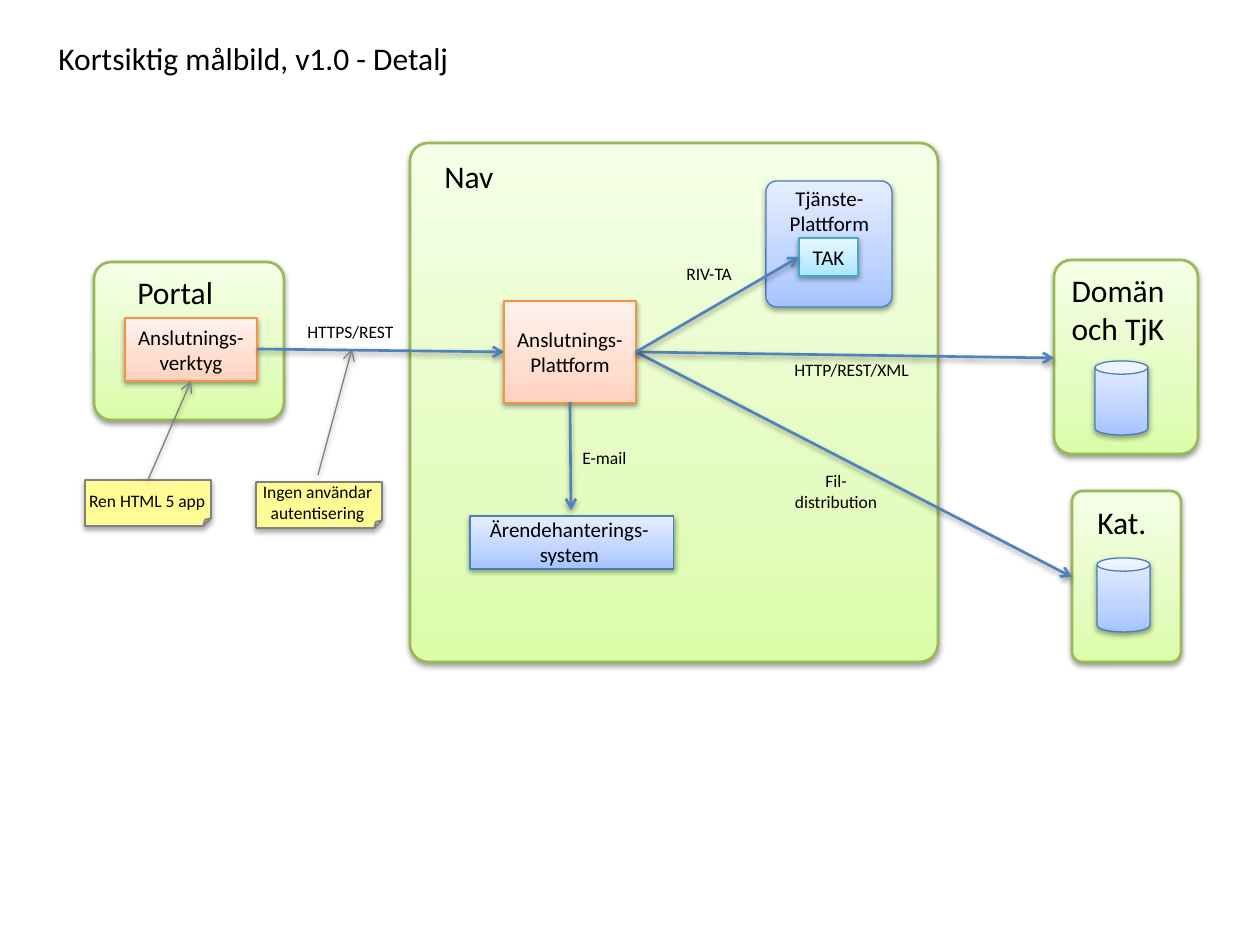
from copy import deepcopy

from pptx import Presentation
from pptx.dml.color import RGBColor
from pptx.enum.shapes import MSO_CONNECTOR, MSO_SHAPE
from pptx.enum.text import MSO_ANCHOR, PP_ALIGN
from pptx.oxml import parse_xml
from pptx.oxml.ns import nsdecls, qn
from pptx.util import Emu, Pt

PIXEL = 914400 // 126
FONT = "Calibri"
BLACK = RGBColor(0x00, 0x00, 0x00)
GREY = RGBColor(0x80, 0x80, 0x80)
ARROW_BLUE = RGBColor(0x4F, 0x81, 0xBD)
NOTE_YELLOW = RGBColor(0xFF, 0xFC, 0x96)

# Each theme: bottom, middle and top gradient colours, then the outline.
GREEN = [RGBColor.from_string(c) for c in ("DAFDA7", "E4FCC2", "F5FFE7", "98B955")]
ORANGE = [RGBColor.from_string(c) for c in ("FFD2BD", "FFDED0", "FFF2ED", "F69240")]
BLUE = [RGBColor.from_string(c) for c in ("A4C4FF", "BFD4FF", "E6EEFF", "4B7EBC")]
CYAN = [RGBColor.from_string(c) for c in ("A7E6FF", "C1EDFF", "E7F8FF", "46AAC5")]


def px(*lengths):
    """Turn whole pixels into EMU."""
    return [Emu(length * PIXEL) for length in lengths]


def add_shadow(element, opacity=38):
    """Give a shape or connector a soft shadow straight below it."""
    element.spPr.append(parse_xml(
        f'<a:effectLst {nsdecls("a")}>'
        '<a:outerShdw blurRad="40000" dist="20000" dir="5400000" rotWithShape="0">'
        f'<a:srgbClr val="000000"><a:alpha val="{opacity * 1000}"/></a:srgbClr>'
        '</a:outerShdw></a:effectLst>'))


def write(frame, text, size, align=PP_ALIGN.CENTER):
    """Set black text, one paragraph for each line."""
    frame.text = text
    for paragraph in frame.paragraphs:
        paragraph.alignment = align
        for run in paragraph.runs:
            run.font.name = FONT
            run.font.size = Pt(size)
            run.font.color.rgb = BLACK


def add_label(slide, box, text, size, align=PP_ALIGN.LEFT):
    """Add free-standing text that keeps its own line breaks."""
    frame = slide.shapes.add_textbox(*px(*box)).text_frame
    frame.word_wrap = False
    write(frame, text, size, align)


def add_block(slide, kind, box, theme, text="", corner=None, width=0.75):
    """Add a shape with a vertical gradient and optional centred text."""
    block = slide.shapes.add_shape(kind, *px(*box))
    if corner is not None:
        block.adjustments[0] = corner
    block.fill.gradient()
    block.fill.gradient_angle = 90
    first = block._element.spPr.find(".//" + qn("a:gs"))
    first.addnext(deepcopy(first))
    for stop, position, color in zip(block.fill.gradient_stops, (0, 0.35, 1), theme):
        stop.position = position
        stop.color.rgb = color
    block.line.color.rgb = theme[-1]
    block.line.width = Pt(width)
    add_shadow(block._element)
    if text:
        block.text_frame.word_wrap = False
        block.text_frame.vertical_anchor = MSO_ANCHOR.MIDDLE
        write(block.text_frame, text, 12)


def add_zone(slide, box, corner):
    """Add a rounded green system boundary."""
    add_block(slide, MSO_SHAPE.ROUNDED_RECTANGLE, box, GREEN, corner=corner, width=1.5)


def add_database(slide, left, top):
    """Add a blue database cylinder."""
    add_block(slide, MSO_SHAPE.CAN, (left, top, 53, 74), BLUE)


def add_arrow(slide, start, end, color=ARROW_BLUE, width=1.5):
    """Add a straight line with an open arrowhead at its end."""
    arrow = slide.shapes.add_connector(MSO_CONNECTOR.STRAIGHT, *px(*start, *end))
    arrow.line.color.rgb = color
    arrow.line.width = Pt(width)
    arrow.line._get_or_add_ln().append(
        parse_xml(f'<a:tailEnd {nsdecls("a")} type="arrow"/>'))
    add_shadow(arrow._element)


def add_note(slide, left, top, label_box, text):
    """Add a yellow note with its text laid over it."""
    note = slide.shapes.add_shape(MSO_SHAPE.FOLDED_CORNER, *px(left, top, 126, 46))
    note.fill.solid()
    note.fill.fore_color.rgb = NOTE_YELLOW
    note.line.color.rgb = GREY
    note.line.width = Pt(1)
    add_shadow(note._element, 35)
    add_label(slide, label_box, text, 10, PP_ALIGN.CENTER)


def main():
    """Build the slide and save it."""
    deck = Presentation()
    deck.slide_width, deck.slide_height = px(1260, 945)
    slide = deck.slides.add_slide(deck.slide_layouts[6])

    hub = (636, 352)
    portal_tool_side = (257, 349)

    add_zone(slide, (410, 143, 528, 519), 0.035)
    add_label(slide, (432, 151, 86, 50), "Nav", 18)
    add_zone(slide, (94, 262, 190, 158), 0.109)
    add_label(slide, (125, 267, 103, 50), "Portal", 18)
    add_block(slide, MSO_SHAPE.RECTANGLE, (125, 318, 132, 63), ORANGE,
              "Anslutnings-\nverktyg")
    add_label(slide, (46, 33, 421, 50), "Kortsiktig målbild, v1.0 - Detalj", 18)

    add_block(slide, MSO_SHAPE.RECTANGLE, (470, 516, 204, 53), BLUE)
    add_label(slide, (476, 510, 187, 63), "Ärendehanterings-\nsystem", 12,
              PP_ALIGN.CENTER)

    add_zone(slide, (1054, 260, 144, 194), 0.12)
    add_label(slide, (1058, 265, 120, 89), "Domän \noch TjK", 18, PP_ALIGN.CENTER)
    add_database(slide, 1095, 361)
    add_zone(slide, (1072, 491, 109, 171), 0.097)
    add_label(slide, (1085, 497, 78, 50), "Kat.", 18)
    add_database(slide, 1097, 558)

    add_arrow(slide, portal_tool_side, (504, 352))
    add_block(slide, MSO_SHAPE.RECTANGLE, (504, 301, 132, 102), ORANGE,
              "Anslutnings-\nPlattform")
    add_arrow(slide, (570, 402), (571, 510))
    add_arrow(slide, hub, (1072, 577))

    add_block(slide, MSO_SHAPE.ROUNDED_RECTANGLE, (766, 181, 126, 126), BLUE,
              corner=0.087)
    add_label(slide, (772, 179, 115, 63), "Tjänste-\nPlattform", 12, PP_ALIGN.CENTER)
    add_block(slide, MSO_SHAPE.RECTANGLE, (799, 238, 59, 38), CYAN, "TAK")
    add_arrow(slide, hub, (1054, 358))
    add_arrow(slide, hub, (799, 257))

    for box, text, align in (
        ((295, 315, 113, 34), "HTTPS/REST", PP_ALIGN.LEFT),
        ((570, 441, 71, 34), "E-mail", PP_ALIGN.LEFT),
        ((782, 464, 108, 55), "Fil-\ndistribution", PP_ALIGN.CENTER),
        ((782, 353, 144, 34), "HTTP/REST/XML", PP_ALIGN.LEFT),
        ((674, 257, 74, 34), "RIV-TA", PP_ALIGN.LEFT),
    ):
        add_label(slide, box, text, 10, align)

    add_note(slide, 85, 480, (75, 484, 144, 34), "Ren HTML 5 app")
    add_note(slide, 256, 482, (248, 475, 139, 55), "Ingen användar\nautentisering")
    add_arrow(slide, (148, 480), (191, 381), GREY, 0.75)
    add_arrow(slide, (318, 475), (352, 349), GREY, 0.75)

    deck.save("out.pptx")


main()
